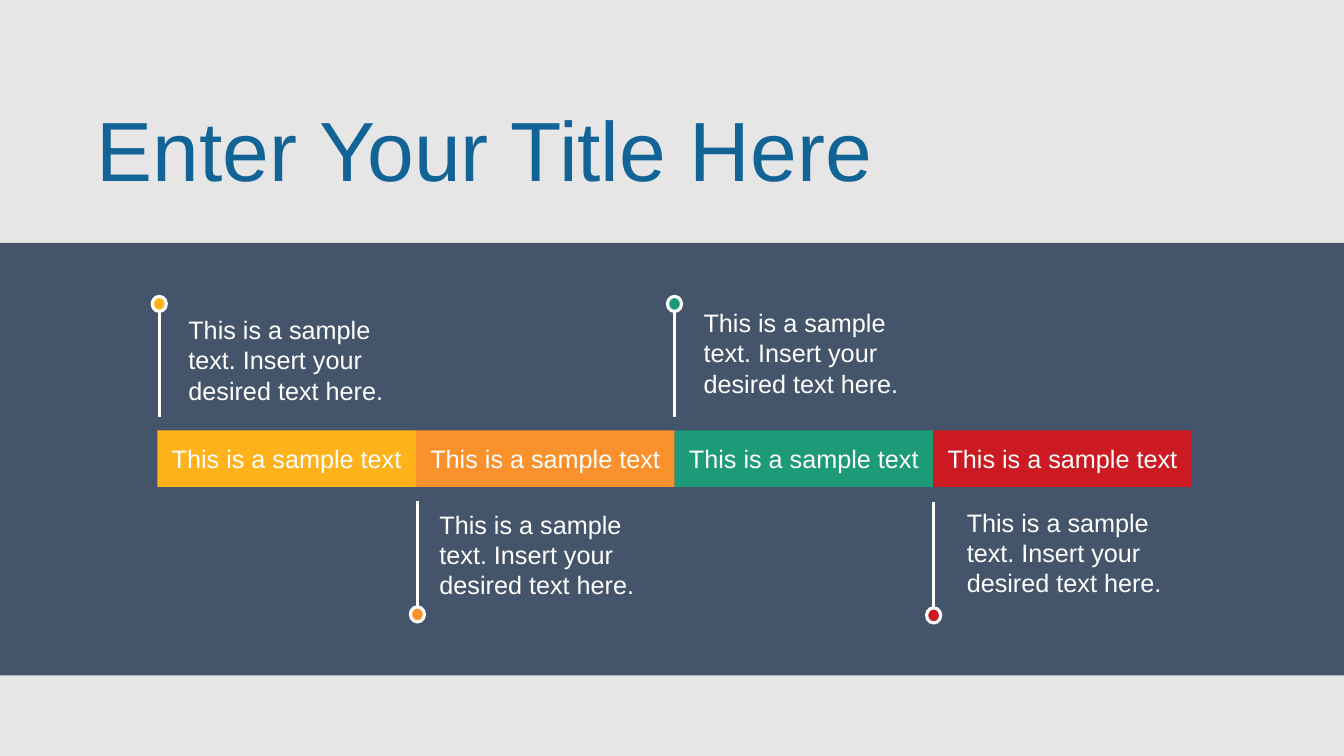
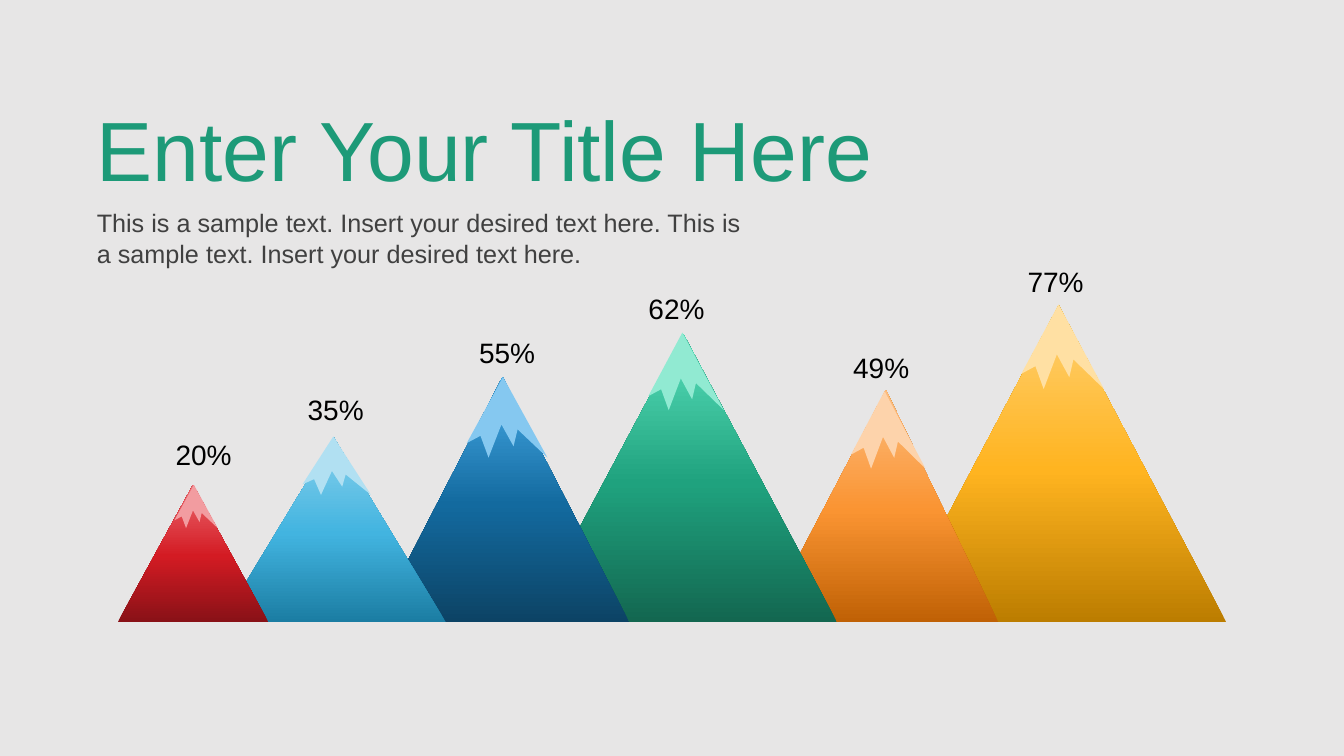
"""Build a pinned timeline slide and a mountain percentage slide."""
import copy
from dataclasses import dataclass

import pptx
import pptx.dml.color
import pptx.enum.shapes
import pptx.enum.text
import pptx.oxml
import pptx.oxml.ns
import pptx.presentation
import pptx.shapes.autoshape
import pptx.shapes.base
import pptx.shapes.shapetree
import pptx.slide
import pptx.text.text
import pptx.util

Inches = pptx.util.Inches
Shape = pptx.enum.shapes.MSO_SHAPE
Align = pptx.enum.text.PP_ALIGN
Anchor = pptx.enum.text.MSO_ANCHOR
AutoSize = pptx.enum.text.MSO_AUTO_SIZE

FONT = "Arial"
COLORS = {
    "background": "E7E6E6",
    "band": "44546A",
    "white": "FFFFFF",
    "black": "000000",
    "body": "404040",
    "blue": "126496",
    "yellow": "FFB219",
    "orange": "FA912C",
    "green": "1D9A78",
    "red": "CC1A22",
}
TITLE = "Enter Your Title Here"
LABEL = "This is a sample text"
SAMPLE = "This is a sample text. Insert your desired text here."
BAR_LEFT, BAR_TOP, BAR_HEIGHT = 1.56, 4.27, 0.56
BAR_WIDTH = 10.26 / 4
PIN_LENGTH, DOT_WIDTH, DOT_HEIGHT = 1.2, 0.14, 0.15
MOUNTAIN_BASE = 6.17
SNOW_OUTLINE = (
    (0.45, 0), (0, 0.82), (0.17, 0.73), (0.27, 1),
    (0.43, 0.59), (0.58, 0.86), (0.63, 0.65), (1, 1),
)
GRADIENT_POSITIONS = (0, 0.48, 1)


@dataclass(frozen=True)
class Box:
    left: float
    top: float
    width: float
    height: float

    def lengths(self) -> tuple[int, int, int, int]:
        return (Inches(self.left), Inches(self.top),
                Inches(self.width), Inches(self.height))


@dataclass(frozen=True)
class Milestone:
    color: str
    pin_left: float
    pin_top: float
    dot_on_top: bool
    text_left: float
    text_top: float


@dataclass(frozen=True)
class Mountain:
    percent: str
    label_left: float
    label_top: float
    left: float
    top: float
    width: float
    snow: Box
    gradient: tuple[str, str, str]
    snow_color: str
    peak: float = 0.5


MILESTONES = (
    Milestone("yellow", 1.58, 2.94, True, 1.77, 3.07),
    Milestone("orange", 4.14, 4.97, False, 4.26, 5),
    Milestone("green", 6.69, 2.94, True, 6.88, 3),
    Milestone("red", 9.26, 4.98, False, 9.49, 4.98),
)
MOUNTAINS = (
    Mountain("77%", 10, 2.58, 8.84, 3.03, 3.32, Box(10.13, 3.02, 0.82, 0.84),
             ("BC7D00", "FFB420", "FFD175"), "FFE0A3"),
    Mountain("49%", 8.27, 3.43, 7.58, 3.87, 2.32, Box(8.44, 3.88, 0.74, 0.77),
             ("C06105", "FA9432", "FCBD80"), "FDD3AB", 0.52),
    Mountain("62%", 6.24, 2.84, 5.25, 3.31, 3.05, Box(6.43, 3.3, 0.75, 0.77),
             ("136750", "1FA27E", "5AE0BB"), "91EAD2"),
    Mountain("55%", 4.56, 3.28, 3.73, 3.74, 2.51, Box(4.63, 3.74, 0.8, 0.8),
             ("0C4365", "136A9F", "48ACE9"), "85C8F0"),
    Mountain("35%", 2.86, 3.84, 2.2, 4.34, 2.22, Box(3, 4.33, 0.68, 0.58),
             ("1B7DA3", "42B4E0", "8AD1EC"), "B1E0F2"),
    Mountain("20%", 1.55, 4.29, 1.17, 4.81, 1.49, Box(1.73, 4.81, 0.43, 0.43),
             ("891117", "D31B23", "EC6A70"), "F29CA0"),
)

Shapes = pptx.shapes.shapetree.GroupShapes | pptx.shapes.shapetree.SlideShapes


def rgb(value: str) -> pptx.dml.color.RGBColor:
    return pptx.dml.color.RGBColor.from_string(value)


def write(frame: pptx.text.text.TextFrame, text: str, size: int, color: str,
          align: Align = Align.LEFT, anchor: Anchor = Anchor.TOP) -> None:
    frame.word_wrap = True
    frame.vertical_anchor = anchor
    para = frame.paragraphs[0]
    para.alignment = align
    para.space_before = pptx.util.Pt(0)
    span = para.add_run()
    span.text = text
    span.font.name = FONT
    span.font.size = pptx.util.Pt(size)
    span.font.color.rgb = rgb(COLORS[color])


def finish(shape: pptx.shapes.autoshape.Shape, fill: str) -> None:
    shape.shadow.inherit = False
    shape.fill.solid()
    shape.fill.fore_color.rgb = rgb(fill)
    shape.line.fill.background()


def add_block(shapes: Shapes, kind: Shape, box: Box,
              fill: str) -> pptx.shapes.autoshape.Shape:
    shape = shapes.add_shape(kind, *box.lengths())
    finish(shape, fill)
    return shape


def add_text(page: pptx.slide.Slide, box: Box, text: str, size: int,
             color: str, align: Align = Align.LEFT) -> None:
    frame = page.shapes.add_textbox(*box.lengths()).text_frame
    write(frame, text, size, color, align)
    frame.auto_size = AutoSize.SHAPE_TO_FIT_TEXT


def place(holder: pptx.shapes.base.BaseShape, box: Box) -> None:
    holder.left, holder.top, holder.width, holder.height = box.lengths()
    holder.text_frame.auto_size = AutoSize.NONE


def set_title(page: pptx.slide.Slide, width: float, color: str) -> None:
    title = page.shapes.title
    place(title, Box(0.86, 0.92, width, 1.11))
    write(title.text_frame, TITLE, 60, color)


def set_body(page: pptx.slide.Slide, text: str) -> None:
    body = page.placeholders[1]
    place(body, Box(0.86, 2.01, 6.63, 0.71))
    write(body.text_frame, text, 18, "body")
    properties = body.element.find(".//" + pptx.oxml.ns.qn("a:pPr"))
    properties.set("marL", "0")
    properties.set("indent", "0")
    properties.append(pptx.oxml.parse_xml(
        f"<a:buNone {pptx.oxml.ns.nsdecls('a')}/>"))


def add_pin(page: pptx.slide.Slide, milestone: Milestone) -> None:
    pin = page.shapes.add_group_shape().shapes
    left, top = milestone.pin_left, milestone.pin_top
    bottom = top + PIN_LENGTH
    stem = pin.add_connector(pptx.enum.shapes.MSO_CONNECTOR.STRAIGHT,
                             Inches(left), Inches(top),
                             Inches(left), Inches(bottom))
    stem.element.find(pptx.oxml.ns.qn("p:spPr")).append(pptx.oxml.parse_xml(
        f"<a:effectLst {pptx.oxml.ns.nsdecls('a')}/>"))
    dot_top = top if milestone.dot_on_top else bottom - DOT_HEIGHT
    dot = add_block(pin, Shape.OVAL,
                    Box(left - DOT_WIDTH / 2, dot_top, DOT_WIDTH, DOT_HEIGHT),
                    COLORS[milestone.color])
    for outlined in (stem, dot):
        outlined.line.color.rgb = rgb(COLORS["white"])
        outlined.line.width = pptx.util.Pt(2.25)


def shade(shape: pptx.shapes.autoshape.Shape,
          gradient: tuple[str, str, str]) -> None:
    shape.fill.gradient()
    shape.fill.gradient_angle = 90
    stops = shape.element.find(".//" + pptx.oxml.ns.qn("a:gsLst"))
    stops.append(copy.deepcopy(stops[0]))
    for stop, position, color in zip(shape.fill.gradient_stops,
                                     GRADIENT_POSITIONS, gradient):
        stop.position = position
        stop.color.rgb = rgb(color)


def add_mountain(page: pptx.slide.Slide, mountain: Mountain) -> None:
    shapes = page.shapes.add_group_shape().shapes
    slope = add_block(shapes, Shape.ISOSCELES_TRIANGLE,
                      Box(mountain.left, mountain.top, mountain.width,
                          MOUNTAIN_BASE - mountain.top), mountain.gradient[1])
    slope.adjustments[0] = mountain.peak
    shade(slope, mountain.gradient)
    snow = mountain.snow
    points = [(Inches(snow.left + x * snow.width),
               Inches(snow.top + y * snow.height)) for x, y in SNOW_OUTLINE]
    builder = shapes.build_freeform(*points[0])
    builder.add_line_segments(points[1:], close=True)
    finish(builder.convert_to_shape(), mountain.snow_color)


def build_timeline(deck: pptx.presentation.Presentation) -> None:
    page = deck.slides.add_slide(deck.slide_layouts[5])
    add_block(page.shapes, Shape.RECTANGLE, Box(0, 2.41, 13.33, 4.29),
              COLORS["band"])
    set_title(page, 11.61, "blue")
    for index, milestone in enumerate(MILESTONES):
        bar = add_block(page.shapes, Shape.RECTANGLE,
                        Box(BAR_LEFT + index * BAR_WIDTH, BAR_TOP,
                            BAR_WIDTH, BAR_HEIGHT), COLORS[milestone.color])
        write(bar.text_frame, LABEL, 18, "white", Align.CENTER, Anchor.MIDDLE)
        add_pin(page, milestone)
        add_text(page, Box(milestone.text_left, milestone.text_top, 2.49, 1.01),
                 SAMPLE, 18, "white")


def build_mountains(deck: pptx.presentation.Presentation) -> None:
    page = deck.slides.add_slide(deck.slide_layouts[1])
    set_title(page, 9.92, "green")
    set_body(page, f"{SAMPLE} {SAMPLE}")
    for mountain in MOUNTAINS:
        add_mountain(page, mountain)
    for mountain in MOUNTAINS:
        add_text(page, Box(mountain.label_left, mountain.label_top, 0.94, 0.44),
                 mountain.percent, 20, "black", Align.CENTER)


def main() -> None:
    deck = pptx.Presentation()
    deck.slide_width, deck.slide_height = Inches(13.33), Inches(7.5)
    backdrop = deck.slide_master.background.fill
    backdrop.solid()
    backdrop.fore_color.rgb = rgb(COLORS["background"])
    build_timeline(deck)
    build_mountains(deck)
    deck.save("out.pptx")


main()
